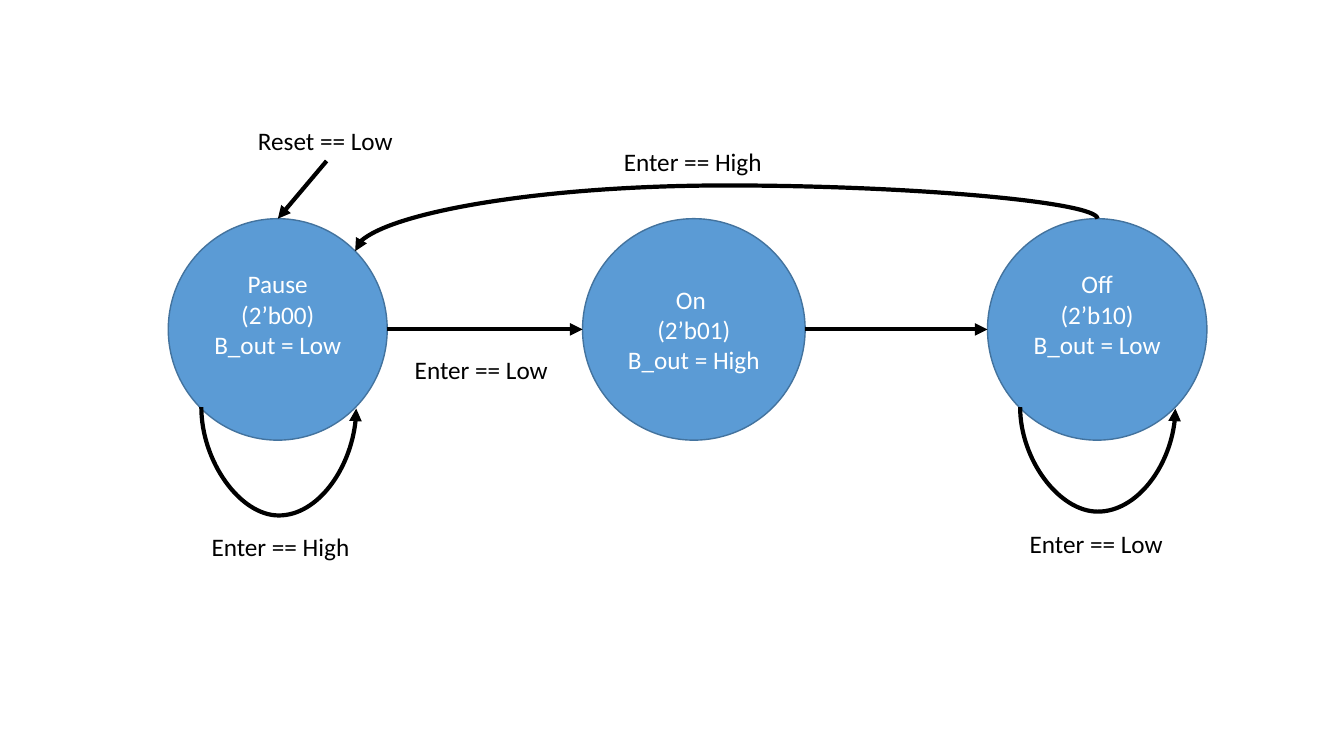
"""Build a state diagram slide with the Pause, On and Off states."""
from lxml.etree import SubElement
from pptx import Presentation
from pptx.dml.color import RGBColor
from pptx.enum.shapes import MSO_CONNECTOR as CONNECTOR, MSO_SHAPE as SHAPE
from pptx.enum.text import MSO_ANCHOR as ANCHOR, MSO_AUTO_SIZE as AUTO_SIZE, PP_ALIGN as ALIGN
from pptx.oxml.ns import qn
from pptx.util import Pt

BLUE = RGBColor(0x5B, 0x9B, 0xD5)
DARK_BLUE = RGBColor(0x43, 0x73, 0x9E)
WHITE = RGBColor(0xFF, 0xFF, 0xFF)
BLACK = RGBColor(0, 0, 0)
FONT = "Calibri"
FONT_SIZE = 18
STATE_TOP, STATE_HEIGHT = 156.2, 158.2
MIDDLE = STATE_TOP + STATE_HEIGHT / 2
LINE_ROOM = 25.6

presentation = Presentation()
presentation.slide_width, presentation.slide_height = Pt(960), Pt(540)
slide = presentation.slides.add_slide(presentation.slide_layouts[6])


def write_lines(text_frame, lines, color, alignment):
    text_frame.text = "\n".join(lines)
    for paragraph in text_frame.paragraphs:
        paragraph.alignment = alignment
        paragraph.font.name = FONT
        paragraph.font.size = Pt(FONT_SIZE)
        paragraph.font.color.rgb = color


def add_arrow(kind, start, end):
    points = [Pt(value) for value in (*start, *end)]
    connector = slide.shapes.add_connector(kind, *points)
    connector.line.color.rgb = BLACK
    connector.line.width = Pt(3)
    properties = connector.element.spPr
    SubElement(properties.find(qn("a:ln")), qn("a:tailEnd"), type="triangle")
    SubElement(properties, qn("a:effectLst"))
    return properties


states = [
    (120.2, 156.4, ["Pause (2’b00)", "B_out = Low"], LINE_ROOM),
    (705.4, 156.7, ["Off", "(2’b10)", "B_out = Low"], LINE_ROOM),
    (416.1, 159, ["On ", "(2’b01)", "B_out = High"], 3.6),
]
for left, width, lines, bottom_margin in states:
    state = slide.shapes.add_shape(
        SHAPE.OVAL, Pt(left), Pt(STATE_TOP), Pt(width), Pt(STATE_HEIGHT))
    state.shadow.inherit = False
    state.fill.solid()
    state.fill.fore_color.rgb = BLUE
    state.line.color.rgb = DARK_BLUE
    state.line.width = Pt(1)
    state.text_frame.word_wrap = True
    state.text_frame.vertical_anchor = ANCHOR.MIDDLE
    state.text_frame.margin_bottom = Pt(bottom_margin)
    write_lines(state.text_frame, lines, WHITE, ALIGN.CENTER)

straight_arrows = [
    ((233.3, 115), (198.5, STATE_TOP)),
    ((276.6, MIDDLE), (416.1, MIDDLE)),
    ((575.1, MIDDLE), (705.4, MIDDLE)),
]
for start, end in straight_arrows:
    add_arrow(CONNECTOR.STRAIGHT, start, end)

curved_arrows = [
    ((784, STATE_TOP), (253.75, 179.4), -23.75),
    ((728.7, 290.8), (839.6, 291.8), 75.25),
    ((143.75, 290.8), (254.4, 291.8), 78),
]
for (start_x, start_y), (end_x, end_y), bulge in curved_arrows:
    center_x, center_y = (start_x + end_x) / 2, (start_y + end_y) / 2
    half_width, half_height = (end_y - start_y) / 2, (start_x - end_x) / 2
    properties = add_arrow(
        CONNECTOR.CURVE,
        (center_x + half_width, center_y + half_height),
        (center_x - half_width, center_y - half_height))
    properties.find(qn("a:xfrm")).set("rot", "16200000")
    adjustment = round(bulge / (end_y - start_y) * 100000)
    SubElement(properties.find(qn("a:prstGeom")).find(qn("a:avLst")), qn("a:gd"),
               name="adj1", fmla=f"val {adjustment}")

labels = [
    (177.2, 86, 112, "Reset == Low"),
    (289.2, 249.6, 111, "Enter == Low"),
    (438.5, 100.75, 114.5, "Enter == High"),
    (728.4, 374, 111, "Enter == Low"),
    (144, 376, 114.5, "Enter == High"),
]
for left, top, width, text in labels:
    label = slide.shapes.add_textbox(Pt(left), Pt(top), Pt(width), Pt(29))
    label.text_frame.word_wrap = False
    label.text_frame.auto_size = AUTO_SIZE.SHAPE_TO_FIT_TEXT
    write_lines(label.text_frame, [text], BLACK, ALIGN.LEFT)

presentation.save("out.pptx")
